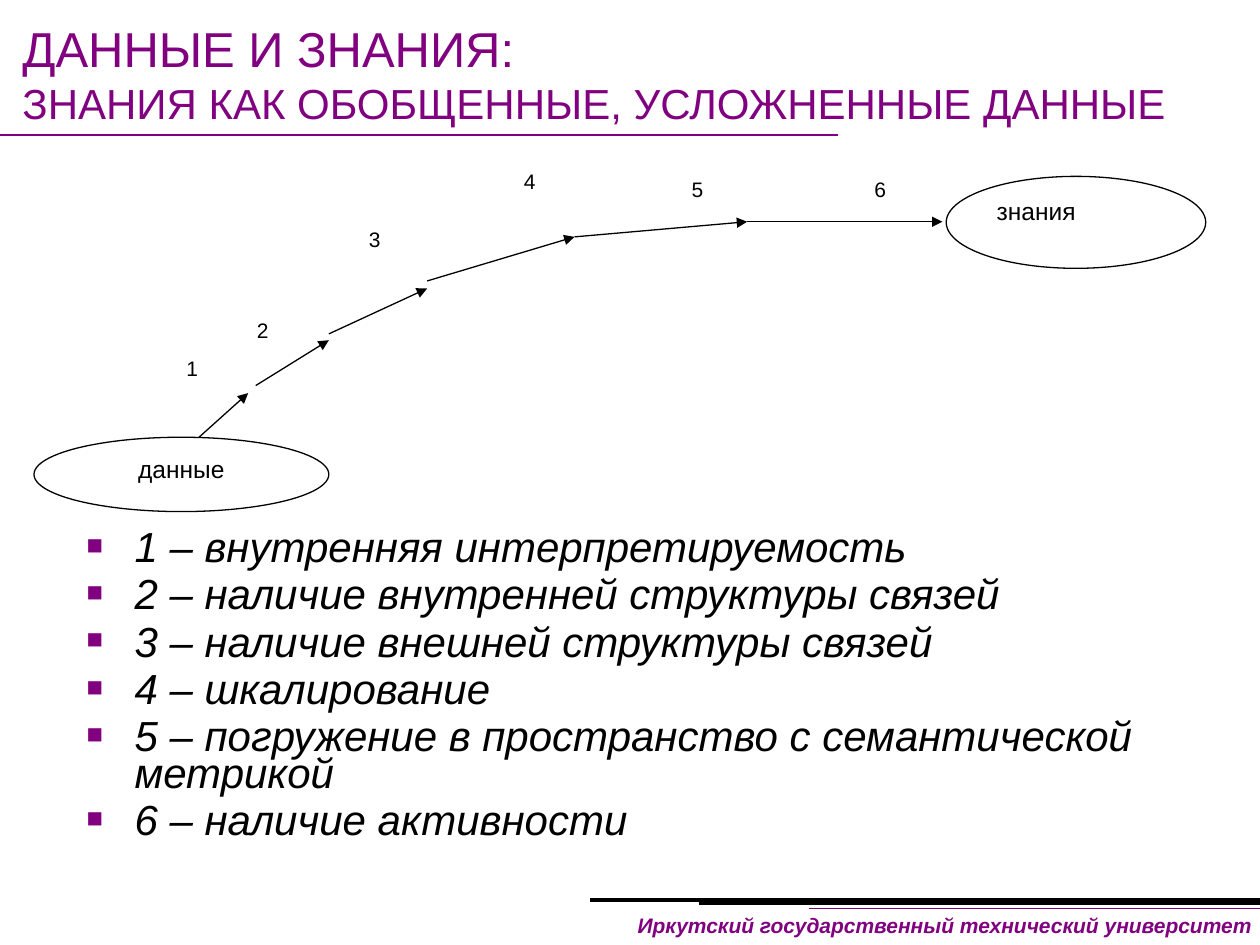
from pptx import Presentation
from pptx.dml.color import RGBColor
from pptx.enum.shapes import MSO_CONNECTOR, MSO_SHAPE
from pptx.enum.text import MSO_ANCHOR, PP_ALIGN
from pptx.oxml.ns import qn
from pptx.util import Inches, Pt
from lxml.etree import SubElement

PURPLE = RGBColor(0x80, 0x00, 0x80)
BLACK = RGBColor(0x00, 0x00, 0x00)
WHITE = RGBColor(0xFF, 0xFF, 0xFF)

TRAITS = [
    "1 – внутренняя интерпретируемость",
    "2 – наличие внутренней структуры связей",
    "3 – наличие внешней структуры связей",
    "4 – шкалирование",
    "5 – погружение в пространство с семантической метрикой",
    "6 – наличие активности",
]

# Each step: arrow start, arrow end, left top corner of its number
STEPS = [
    ((1.58, 3.47), (1.97, 3.12), (1.38, 2.77)),
    ((2.03, 3.06), (2.61, 2.70), (1.94, 2.47)),
    ((2.61, 2.65), (3.39, 2.29), (2.83, 1.75)),
    ((3.39, 2.23), (4.56, 1.88), (4.06, 1.29)),
    ((4.56, 1.88), (5.93, 1.76), (5.39, 1.35)),
    ((5.93, 1.76), (7.48, 1.76), (6.84, 1.35)),
]

# Footer rules: left end, height, colour, width
RULES = [
    (6.42, 7.21, PURPLE, 1),
    (5.55, 7.17, BLACK, 1.5),
    (4.68, 7.14, BLACK, 2.25),
]


def style(font, size, color, bold=False, italic=False):
    font.name = "Arial"
    font.size = Pt(size)
    font.color.rgb = color
    font.bold = bold
    font.italic = italic


def bullet(para):
    """Give a paragraph a hanging purple square."""
    props = para._p.get_or_add_pPr()
    props.set("marL", str(Inches(0.38)))
    props.set("indent", str(-Inches(0.38)))
    color = SubElement(props, qn("a:buClr"))
    SubElement(color, qn("a:srgbClr"), val=str(PURPLE))
    SubElement(props, qn("a:buSzPct"), val="65000")
    SubElement(props, qn("a:buFont"), typeface="Arial")
    SubElement(props, qn("a:buChar"), char="■")


def write(shape, *lines, size=12, color=BLACK, bold=False, italic=False,
          align=PP_ALIGN.LEFT, wrap=True, top=0.05, bullets=False,
          gap=0, spacing=None):
    """Fill a shape with one paragraph per line."""
    frame = shape.text_frame
    frame.word_wrap = wrap
    frame.vertical_anchor = MSO_ANCHOR.TOP
    frame.margin_top = Inches(top)
    for i, line in enumerate(lines):
        para = frame.add_paragraph() if i else frame.paragraphs[0]
        para.alignment = align
        if i:
            para.space_before = Pt(gap)
        if spacing:
            para.line_spacing = spacing
        if bullets:
            bullet(para)
        run = para.add_run()
        run.text = line
        style(run.font, size, color, bold, italic)
    return frame


def box(slide, left, top, width, height):
    return slide.shapes.add_textbox(
        Inches(left), Inches(top), Inches(width), Inches(height))


def rule(slide, start, end, color=BLACK, width=0.75, arrow=False):
    line = slide.shapes.add_connector(
        MSO_CONNECTOR.STRAIGHT, *(Inches(v) for v in start + end))
    line.line.color.rgb = color
    line.line.width = Pt(width)
    if arrow:
        SubElement(line.line._get_or_add_ln(), qn("a:tailEnd"), type="triangle")
    SubElement(line._element.spPr, qn("a:effectLst"))


def oval(slide, left, top, width, height, label, align):
    shape = slide.shapes.add_shape(
        MSO_SHAPE.OVAL, Inches(left), Inches(top), Inches(width), Inches(height))
    shape.shadow.inherit = False
    shape.fill.solid()
    shape.fill.fore_color.rgb = WHITE
    shape.line.color.rgb = BLACK
    shape.line.width = Pt(0.75)
    write(shape, label, size=14, align=align)


def title(slide):
    frame = write(box(slide, 0.08, 0.05, 9.96, 0.61), "ДАННЫЕ И ЗНАНИЯ:",
                  size=28, color=PURPLE, top=0.1)
    para = frame.paragraphs[0]
    para.add_line_break()
    run = para.add_run()
    run.text = "ЗНАНИЯ КАК ОБОБЩЕННЫЕ, УСЛОЖНЕННЫЕ ДАННЫЕ"
    style(run.font, 24, PURPLE)
    rule(slide, (-0.04, 1.07), (6.65, 1.07), PURPLE, 1)


def footer(slide):
    write(box(slide, 4.94, 7.19, 5.1, 0.3),
          "Иркутский государственный технический университет",
          color=PURPLE, bold=True, italic=True, align=PP_ALIGN.RIGHT, wrap=False)
    for left, y, color, width in RULES:
        rule(slide, (10.04, y), (left, y), color, width)


def graph(slide):
    oval(slide, 0.27, 3.47, 2.34, 0.59, "данные", PP_ALIGN.CENTER)
    oval(slide, 7.51, 1.4, 2.06, 0.73, "знания", PP_ALIGN.LEFT)
    for number, (start, end, spot) in enumerate(STEPS, 1):
        rule(slide, start, end, arrow=True)
        write(box(slide, *spot, 0.58, 0.36), str(number))


def main():
    deck = Presentation()
    deck.slide_width = Inches(10)
    deck.slide_height = Inches(7.5)
    slide = deck.slides.add_slide(deck.slide_layouts[6])
    footer(slide)
    title(slide)
    write(box(slide, 0.59, 3.91, 9, 2.99), *TRAITS, size=24, italic=True,
          top=0.32, bullets=True, gap=6, spacing=0.73)
    graph(slide)
    deck.save("out.pptx")


if __name__ == "__main__":
    main()
